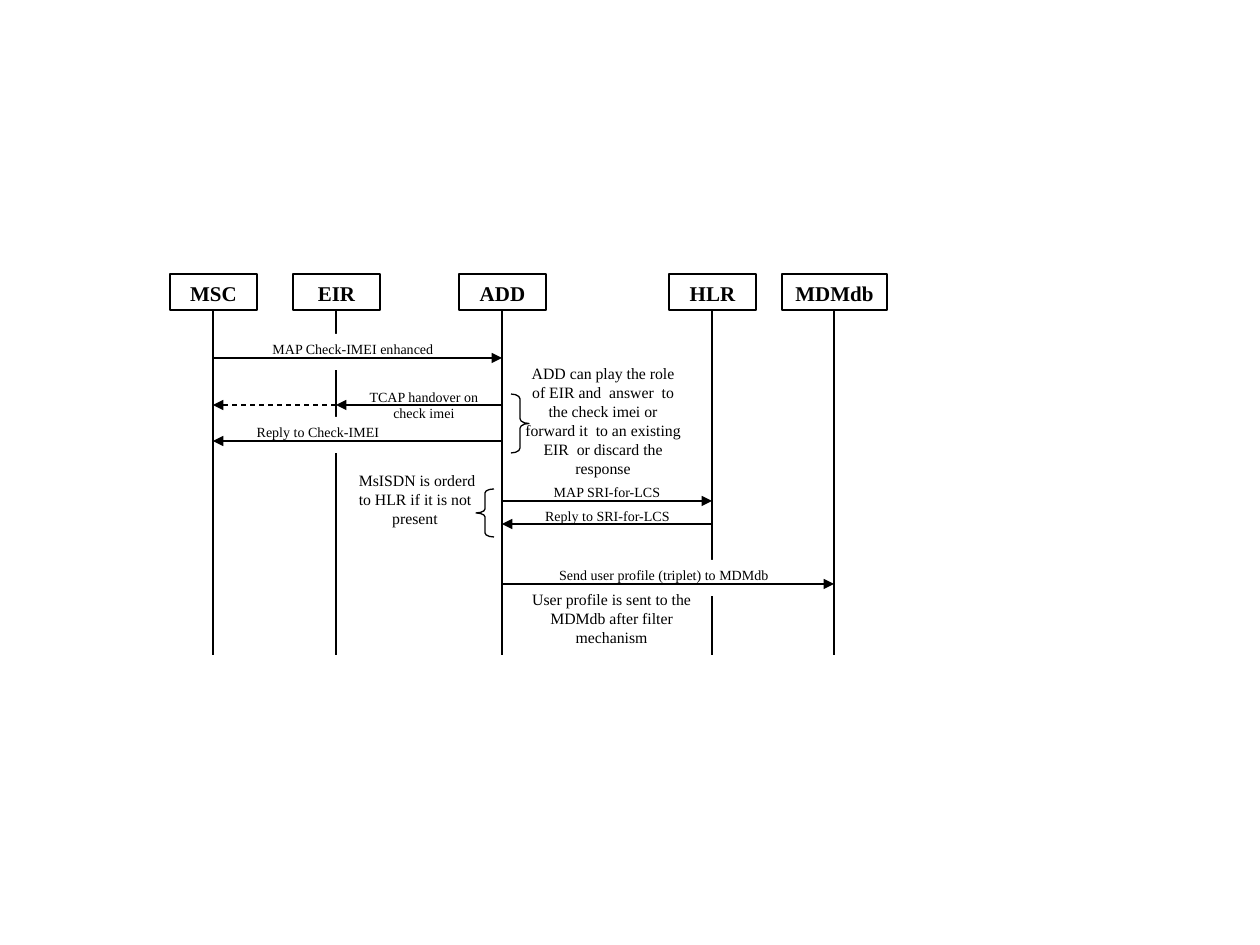
from typing import NamedTuple

from lxml import etree
from pptx import Presentation
from pptx.dml.color import RGBColor
from pptx.enum.dml import MSO_LINE
from pptx.enum.shapes import MSO_CONNECTOR, MSO_SHAPE
from pptx.enum.text import MSO_ANCHOR, PP_ALIGN
from pptx.oxml.ns import qn
from pptx.util import Emu, Pt

STRAIGHT = MSO_CONNECTOR.STRAIGHT
RECTANGLE = MSO_SHAPE.RECTANGLE
LEFT_BRACE = MSO_SHAPE.LEFT_BRACE
RIGHT_BRACE = MSO_SHAPE.RIGHT_BRACE
DASH = MSO_LINE.DASH
CENTER = PP_ALIGN.CENTER
TOP = MSO_ANCHOR.TOP

PX_PER_INCH = 126
BLACK = "000000"
WHITE = "FFFFFF"
FONT = "Times New Roman"
HEADER_TOP, HEADER_HEIGHT = 274, 36
LIFELINE_TOP = HEADER_TOP + HEADER_HEIGHT
LIFELINE_BOTTOM = 655


class Box(NamedTuple):
    left: int
    top: int
    width: int
    height: int


class Participant(NamedTuple):
    name: str
    x: int
    width: int = 87


class Message(NamedTuple):
    sender: Participant
    receiver: Participant
    y: int
    dashed: bool = False


class Caption(NamedTuple):
    text: str
    box: Box
    size: int = 8


MSC = Participant("MSC", 213)
EIR = Participant("EIR", 336)
ADD = Participant("ADD", 502)
HLR = Participant("HLR", 712)
MDMDB = Participant("MDMdb", 834, 105)
PARTICIPANTS = [MSC, EIR, ADD, HLR, MDMDB]

LIFELINE_GAPS = [Box(319, 334, 35, 36), Box(327, 417, 18, 36), Box(703, 560, 18, 36)]

MESSAGES = [
    Message(MSC, ADD, 358),
    Message(ADD, EIR, 405),
    Message(EIR, MSC, 405, dashed=True),
    Message(ADD, MSC, 441),
    Message(ADD, HLR, 501),
    Message(HLR, ADD, 524),
    Message(ADD, MDMDB, 584),
]

BRACES = [
    (LEFT_BRACE, Box(476, 489, 18, 48)),
    (RIGHT_BRACE, Box(511, 394, 18, 59)),
]

CAPTIONS = [
    Caption("MAP Check-IMEI enhanced", Box(248, 334, 210, 36)),
    Caption("TCAP handover on check imei", Box(354, 382, 140, 48)),
    Caption("Reply to Check-IMEI", Box(239, 417, 158, 36)),
    Caption("MAP SRI-for-LCS", Box(502, 477, 210, 36)),
    Caption("Reply to SRI-for-LCS", Box(511, 501, 193, 36)),
    Caption("ADD can play the role of EIR and  answer  to the check imei or "
            "forward it  to an existing EIR  or discard the response",
            Box(511, 358, 184, 118), 9),
    Caption("Send user profile (triplet) to MDMdb", Box(511, 560, 306, 36)),
    Caption(" MsISDN is orderd to HLR if it is not present",
            Box(336, 465, 158, 118), 9),
    Caption("User profile is sent to the MDMdb after filter mechanism",
            Box(502, 584, 219, 96), 9),
]


def px(length: int) -> Emu:
    return Emu(round(length * 914400 / PX_PER_INCH))


def color(hex_value: str) -> RGBColor:
    return RGBColor.from_string(hex_value)


def place(box: Box) -> list[Emu]:
    return [px(length) for length in box]


def outline(line) -> None:
    line.color.rgb = color(BLACK)
    line.width = Pt(0.75)


def write(frame, text: str, size: int, bold: bool = False) -> None:
    frame.word_wrap = True
    frame.vertical_anchor = TOP
    paragraph = frame.paragraphs[0]
    paragraph.alignment = CENTER
    run = paragraph.add_run()
    run.text = text
    run.font.name = FONT
    run.font.size = Pt(size)
    run.font.bold = bold
    run.font.color.rgb = color(BLACK)


def draw_rectangle(shapes, box: Box):
    rectangle = shapes.add_shape(RECTANGLE, *place(box))
    rectangle.shadow.inherit = False
    rectangle.fill.solid()
    rectangle.fill.fore_color.rgb = color(WHITE)
    rectangle.line.fill.background()
    return rectangle


def draw_line(shapes, x1: int, y1: int, x2: int, y2: int):
    connector = shapes.add_connector(STRAIGHT, px(x1), px(y1), px(x2), px(y2))
    outline(connector.line)
    etree.SubElement(connector._element.spPr, qn("a:effectLst"))
    return connector


def draw_header(shapes, participant: Participant) -> None:
    left = participant.x - participant.width // 2
    header = draw_rectangle(
        shapes, Box(left, HEADER_TOP, participant.width, HEADER_HEIGHT))
    outline(header.line)
    write(header.text_frame, participant.name, 12, bold=True)


def draw_message(shapes, message: Message) -> None:
    arrow = draw_line(shapes, message.sender.x, message.y,
                      message.receiver.x, message.y)
    if message.dashed:
        arrow.line.dash_style = DASH
    etree.SubElement(arrow.line._get_or_add_ln(), qn("a:tailEnd"), type="triangle")


def draw_brace(shapes, kind, box: Box) -> None:
    brace = shapes.add_shape(kind, *place(box))
    brace.shadow.inherit = False
    brace.fill.background()
    outline(brace.line)
    brace.adjustments[0] = round(box.height / 12 / box.width, 2)


def draw_caption(shapes, caption: Caption) -> None:
    frame = shapes.add_textbox(*place(caption.box)).text_frame
    write(frame, caption.text, caption.size)


def main() -> None:
    presentation = Presentation()
    presentation.slide_width = px(1260)
    presentation.slide_height = px(945)
    shapes = presentation.slides.add_slide(presentation.slide_layouts[6]).shapes

    for participant in PARTICIPANTS:
        draw_header(shapes, participant)
    for participant in PARTICIPANTS:
        draw_line(shapes, participant.x, LIFELINE_TOP, participant.x, LIFELINE_BOTTOM)
    for gap in LIFELINE_GAPS:
        draw_rectangle(shapes, gap)
    for message in MESSAGES:
        draw_message(shapes, message)
    for kind, box in BRACES:
        draw_brace(shapes, kind, box)
    for caption in CAPTIONS:
        draw_caption(shapes, caption)

    presentation.save("out.pptx")


if __name__ == "__main__":
    main()
